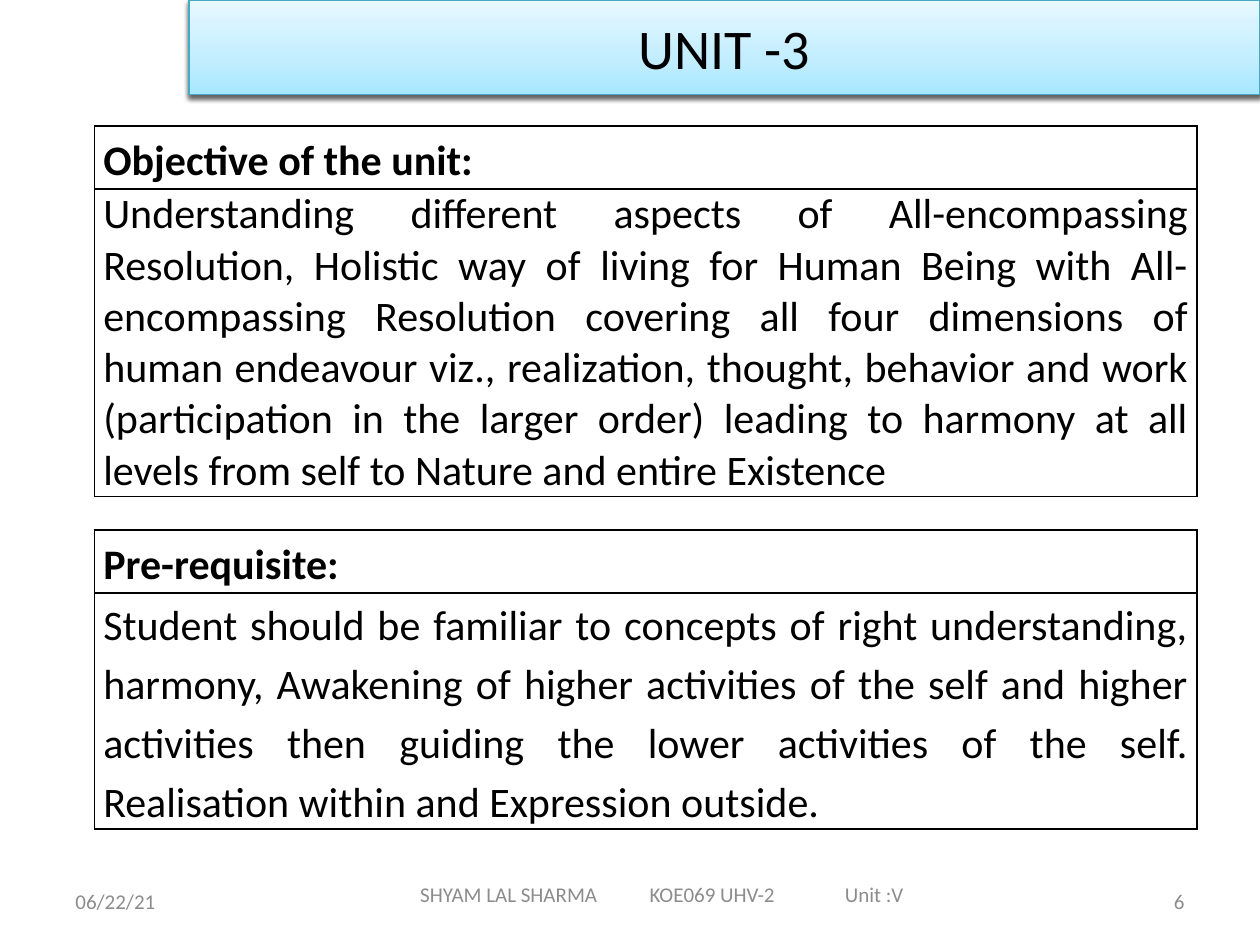
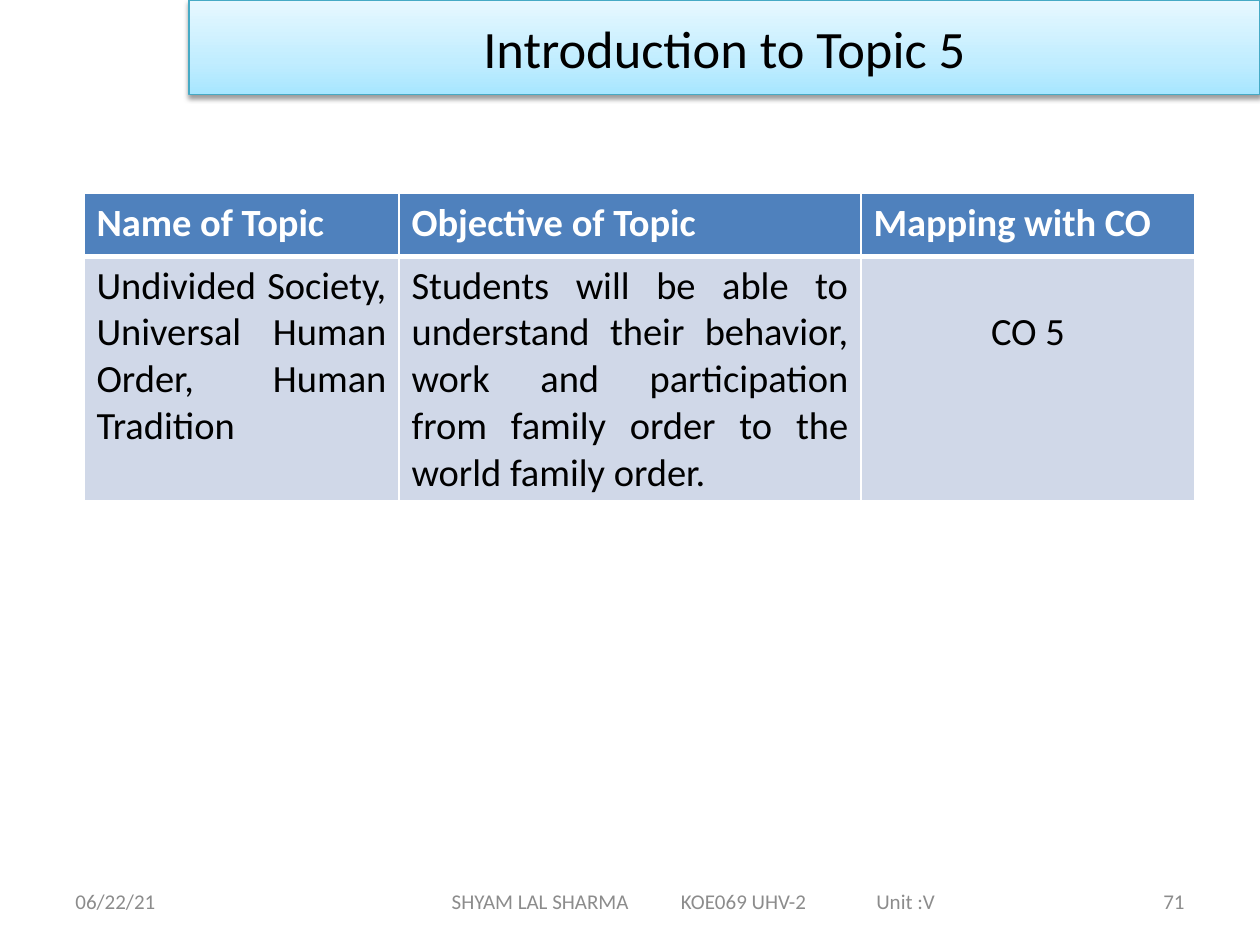
from pptx import Presentation
from pptx.dml.color import RGBColor
from pptx.enum.shapes import MSO_SHAPE
from pptx.enum.text import MSO_ANCHOR, PP_ALIGN
from pptx.oxml import parse_xml
from pptx.oxml.ns import nsdecls, qn
from pptx.util import Inches, Pt

RECT = MSO_SHAPE.RECTANGLE
TOP, MIDDLE = MSO_ANCHOR.TOP, MSO_ANCHOR.MIDDLE
LEFT, CENTER, RIGHT, JUSTIFY = PP_ALIGN.LEFT, PP_ALIGN.CENTER, PP_ALIGN.RIGHT, PP_ALIGN.JUSTIFY

BLACK = RGBColor(0x00, 0x00, 0x00)
WHITE = RGBColor(0xFF, 0xFF, 0xFF)
GREY = RGBColor(0x8C, 0x8C, 0x8C)
TEAL = RGBColor(0x46, 0xAA, 0xC5)
BLUE = RGBColor(0x4F, 0x81, 0xBD)
PALE = RGBColor(0xD0, 0xD8, 0xE8)
BAND_STOPS = ((0, RGBColor(0xA7, 0xE6, 0xFF)), (35, RGBColor(0xC1, 0xED, 0xFF)),
              (100, RGBColor(0xE7, 0xF8, 0xFF)))

FONT = "Calibri"
COLUMNS, ROWS = 120, 90
FOOTER_Y, FOOTER_H = 83.4, 4.8
FOOTER_TEXT = "SHYAM LAL SHARMA\tKOE069 UHV-2\tUnit :V"
FOOTER_TABS, FOOTER_LENGTH = (1.82, 3.37), 3.83


class Deck:
    """Unit slides on a 120 by 90 grid with a gradient title band and a footer."""

    def __init__(self):
        self.prs = Presentation()
        self.prs.slide_width, self.prs.slide_height = Inches(10), Inches(7.5)
        self.s = None

    def x(self, columns):
        return round(self.prs.slide_width * columns / COLUMNS)

    def y(self, rows):
        return round(self.prs.slide_height * rows / ROWS)

    def box(self, x, y, w, h):
        return self.x(x), self.y(y), self.x(w), self.y(h)

    def new_slide(self):
        self.s = self.prs.slides.add_slide(self.prs.slide_layouts[6])

    def fill_text(self, tf, text, size, color=BLACK, align=LEFT, bold=False, spacing=None):
        p = tf.paragraphs[0]
        p.add_run().text = text
        p.alignment, p.line_spacing = align, spacing
        p.font.name, p.font.size, p.font.bold = FONT, Pt(size), bold
        p.font.color.rgb = color

    def band(self, title="", size=32):
        sp = self.s.shapes.add_shape(RECT, *self.box(18, 0, 102, 9))
        sp.line.color.rgb, sp.line.width = TEAL, Pt(0.75)
        sp.shadow.inherit = False
        stops = "".join(f'<a:gs pos="{pos * 1000}"><a:srgbClr val="{color}"/></a:gs>'
                        for pos, color in BAND_STOPS)
        spPr = sp._element.spPr
        spPr.find(qn("a:ln")).addprevious(parse_xml(
            f'<a:gradFill {nsdecls("a")} rotWithShape="1"><a:gsLst>{stops}</a:gsLst>'
            '<a:lin ang="16200000" scaled="0"/></a:gradFill>'))
        spPr.find(qn("a:effectLst")).append(parse_xml(
            f'<a:outerShdw {nsdecls("a")} blurRad="{Pt(3.1)}" dist="{Pt(1.6)}" dir="5400000" '
            'rotWithShape="0"><a:srgbClr val="000000"><a:alpha val="38000"/></a:srgbClr>'
            '</a:outerShdw>'))
        if title:
            sp.text_frame.vertical_anchor = MIDDLE
            self.fill_text(sp.text_frame, title, size, align=CENTER)

    def text(self, box, text, align=LEFT, tabs=()):
        tf = self.s.shapes.add_textbox(*self.box(*box)).text_frame
        tf.word_wrap, tf.vertical_anchor = True, MIDDLE
        if tabs:
            stops = "".join(f'<a:tab pos="{Inches(tab)}" algn="l"/>' for tab in tabs)
            tf.paragraphs[0]._p.get_or_add_pPr().append(
                parse_xml(f'<a:tabLst {nsdecls("a")}>{stops}</a:tabLst>'))
        self.fill_text(tf, text, 12, GREY, align)
        return tf

    def footer(self, number, x, y, w):
        self.text((6, FOOTER_Y, 28, FOOTER_H), "06/22/21")
        self.text((86, FOOTER_Y, 28, FOOTER_H), number, RIGHT)
        tf = self.text((x, y, w, FOOTER_H), FOOTER_TEXT, tabs=FOOTER_TABS)
        tf.margin_left = (self.x(w) - Inches(FOOTER_LENGTH)) // 2
        tf.margin_right = 0

    def table(self, x, y, widths, heights):
        frame = self.s.shapes.add_table(len(heights), len(widths),
                                        *self.box(x, y, sum(widths), sum(heights)))
        table = frame.table
        table.first_row = table.horz_banding = False
        for column, width in zip(table.columns, widths):
            column.width = self.x(width)
        for row, height in zip(table.rows, heights):
            row.height = self.y(height)
        return table

    def cell(self, cell, text, size, fill=None, border=BLACK, top=1, bottom=1,
             anchor=TOP, **style):
        if fill is None:
            cell.fill.background()
        else:
            cell.fill.solid()
            cell.fill.fore_color.rgb = fill
        cell.vertical_anchor = anchor
        tcPr = cell._tc.get_or_add_tcPr()
        for i, (side, width) in enumerate(zip("LRTB", (1, 1, top, bottom))):
            tcPr.insert(i, parse_xml(
                f'<a:ln{side} {nsdecls("a")} w="{Pt(width)}"><a:solidFill>'
                f'<a:srgbClr val="{border}"/></a:solidFill></a:ln{side}>'))
        self.fill_text(cell.text_frame, text, size, **style)

    def panel(self, y, body_height, heading, body, spacing=None):
        table = self.table(9, y, [105], [6, body_height])
        head, main = table.cell(0, 0), table.cell(1, 0)
        for cell in (head, main):
            cell.margin_left = cell.margin_right = Inches(0.07)
            cell.margin_top = cell.margin_bottom = 0
        self.cell(head, heading, 24, anchor=MIDDLE, align=JUSTIFY, bold=True, spacing=1.15)
        self.cell(main, body, 24, align=JUSTIFY, spacing=spacing)

    def topic_table(self, headings, values, aligns):
        table = self.table(8, 18.4, [30, 44, 31.8], [6, 23.3])
        for i, (heading, value, align) in enumerate(zip(headings, values, aligns)):
            self.cell(table.cell(0, i), heading, 22, BLUE, WHITE, bottom=3, color=WHITE, bold=True)
            self.cell(table.cell(1, i), value, 22, PALE, WHITE, top=3, align=align)
        table.cell(1, 2).margin_top = Inches(0.42)


def main():
    deck = Deck()

    deck.new_slide()
    deck.band()
    deck.band("UNIT -3")
    deck.panel(12, 28.8, "Objective of the unit:",
               "Understanding different aspects of All-encompassing Resolution, Holistic way of "
               "living for Human Being with All-encompassing Resolution covering all four "
               "dimensions of human endeavour viz., realization, thought, behavior and work "
               "(participation in the larger order) leading to harmony at all levels from self "
               "to Nature and entire Existence")
    deck.panel(50.5, 22, "Pre-requisite:",
               "Student should be familiar to concepts of right understanding, harmony, "
               "Awakening of higher activities of the self and higher activities then guiding "
               "the lower activities of the self. Realisation within and Expression outside.",
               spacing=1.15)
    deck.footer("6", 32, 82.8, 62)

    deck.new_slide()
    deck.band("Introduction to Topic 5", 30)
    deck.topic_table(("Name of Topic", "Objective of Topic", "Mapping with CO"),
                     ("Undivided Society, Universal Human Order, Human Tradition",
                      "Students will be able to understand their behavior, work and "
                      "participation from family order to the world family order.",
                      "CO 5"),
                     (JUSTIFY, JUSTIFY, CENTER))
    deck.footer("71", 33, FOOTER_Y, 66)

    deck.prs.save("out.pptx")


if __name__ == "__main__":
    main()
